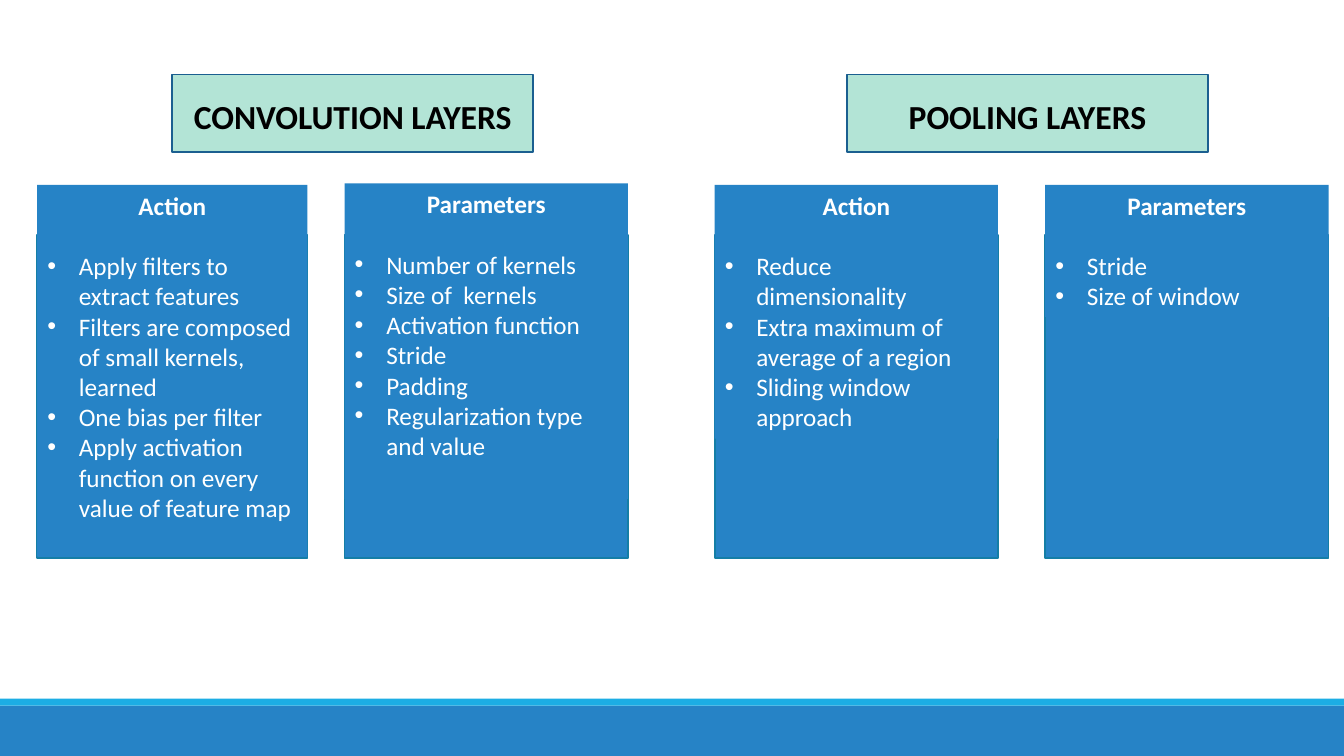
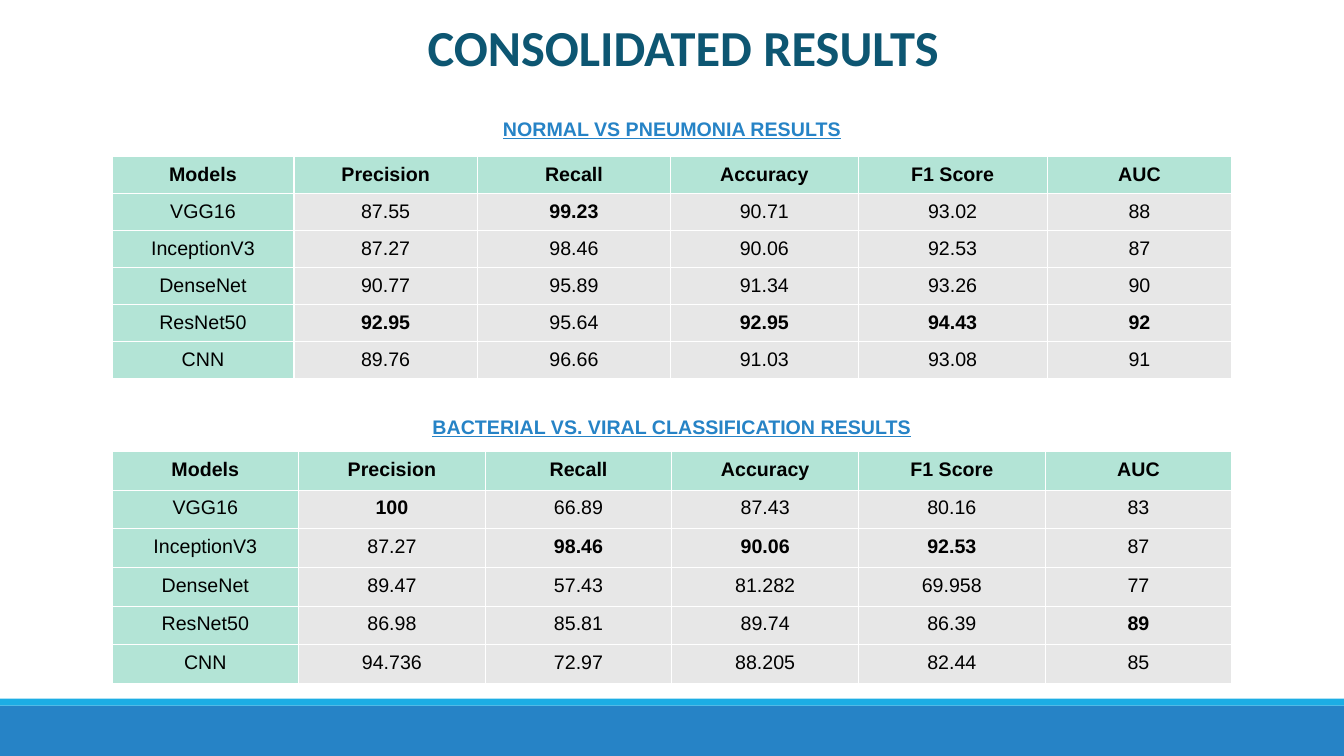
from lxml import etree
from pptx import Presentation
from pptx.dml.color import RGBColor
from pptx.enum import shapes, text
from pptx.oxml import ns
from pptx.util import Pt

WIDTH, HEIGHT = 960, 540
COMPARISON, TITLE_ONLY = 4, 5

BLUE, CYAN, MINT, GREY = "2683C6", "1CADE4", "B3E4D6", "E7E7E7"
PANEL_EDGE, HEADING_EDGE, TITLE_COLOR = "147EA6", "1B5F90", "0D5672"
WHITE, BLACK = "FFFFFF", "000000"
HEADING_FONT, TABLE_FONT = "Calibri", "Arial"

PANEL_TOP, PANEL_HEIGHT = 168, 230.4
TABLE_LEFT, TABLE_WIDTH = 80, 800

HEADINGS = [(123, "CONVOLUTION LAYERS"), (605, "POOLING LAYERS")]

# left, top, width, height, heading, bullets
CARDS = [
    (26.6, 132, 193, 265.7, "Action", [
        "Apply filters to extract features",
        "Filters are composed of small kernels, learned",
        "One bias per filter",
        "Apply activation function on every value of feature map"]),
    (246.2, 131, 202.4, 225.4, "Parameters", [
        "Number of kernels", "Size of  kernels", "Activation function",
        "Stride", "Padding", "Regularization type and value"]),
    (510.5, 132, 202.4, 181.4, "Action", [
        "Reduce dimensionality",
        "Extra maximum of average of a region",
        "Sliding window approach"]),
    (746.6, 132, 202.4, 94.3, "Parameters", ["Stride", "Size of window"]),
]

COLUMNS = ["Models", "Precision", "Recall", "Accuracy", "F1 Score", "AUC"]

PNEUMONIA = [
    ["VGG16", "87.55", "99.23", "90.71", "93.02", "88"],
    ["InceptionV3", "87.27", "98.46", "90.06", "92.53", "87"],
    ["DenseNet", "90.77", "95.89", "91.34", "93.26", "90"],
    ["ResNet50", "92.95", "95.64", "92.95", "94.43", "92"],
    ["CNN", "89.76", "96.66", "91.03", "93.08", "91"],
]

BACTERIAL_VIRAL = [
    ["VGG16", "100", "66.89", "87.43", "80.16", "83"],
    ["InceptionV3", "87.27", "98.46", "90.06", "92.53", "87"],
    ["DenseNet", "89.47", "57.43", "81.282", "69.958", "77"],
    ["ResNet50", "86.98", "85.81", "89.74", "86.39", "89"],
    ["CNN", "94.736", "72.97", "88.205", "82.44", "85"],
]


def color(hex_string):
    return RGBColor.from_string(hex_string)


def place(shape, left, top, width, height):
    shape.left, shape.top = Pt(left), Pt(top)
    shape.width, shape.height = Pt(width), Pt(height)


def fill(item, hex_string):
    item.fill.solid()
    item.fill.fore_color.rgb = color(hex_string)


def style(paragraph, size, font, hex_string, bold=False, underline=False,
          align=text.PP_ALIGN.CENTER):
    paragraph.alignment = align
    for run in paragraph.runs:
        run.font.size, run.font.name = Pt(size), font
        run.font.bold, run.font.underline = bold, underline
        run.font.color.rgb = color(hex_string)


def set_bullet(paragraph, indent=0, character=None):
    """Give the paragraph a hanging bullet, or none without a character."""
    properties = paragraph._p.get_or_add_pPr()
    properties.set("marL", str(Pt(indent)))
    properties.set("indent", str(-Pt(indent)))
    if character:
        etree.SubElement(properties, ns.qn("a:buFont"), typeface="Arial")
        etree.SubElement(properties, ns.qn("a:buChar"), char=character)
    else:
        etree.SubElement(properties, ns.qn("a:buNone"))


def set_borders(cell, hex_string, width):
    properties = cell._tc.get_or_add_tcPr()
    for side in ("a:lnL", "a:lnR", "a:lnT", "a:lnB"):
        line = etree.SubElement(properties, ns.qn(side), w=str(Pt(width)))
        solid = etree.SubElement(line, ns.qn("a:solidFill"))
        etree.SubElement(solid, ns.qn("a:srgbClr"), val=hex_string)


class Deck:
    """Holds the presentation, its shared style and the current slide."""

    def __init__(self):
        self.presentation = Presentation()
        self.presentation.slide_width = Pt(WIDTH)
        self.presentation.slide_height = Pt(HEIGHT)
        self.slide = None

    def new_slide(self, layout):
        first = self.slide is None
        self.slide = self.presentation.slides.add_slide(
            self.presentation.slide_layouts[layout])
        if first:
            self.master_bands()

    def master_bands(self):
        """Draw the bottom bands and move them to the master, behind its text."""
        tree = self.presentation.slide_master.shapes.element
        for number, (top, height, hex_string) in enumerate(
                [(504, 36, BLUE), (499, 5, CYAN)]):
            band = self.box(0, top, WIDTH, height, hex_string)
            band.element.nvSpPr.cNvPr.id = 100 + number
            tree.insert(2 + number, band.element)

    def box(self, left, top, width, height, hex_string, edge=None,
            kind=shapes.MSO_SHAPE.RECTANGLE):
        shape = self.slide.shapes.add_shape(
            kind, Pt(left), Pt(top), Pt(width), Pt(height))
        shape.shadow.inherit = False
        fill(shape, hex_string)
        if edge:
            shape.line.color.rgb = color(edge)
            shape.line.width = Pt(1.25)
        else:
            shape.line.fill.background()
        return shape

    def heading(self, left, words):
        shape = self.box(left, 53.3, 258, 55.4, MINT, HEADING_EDGE,
                         shapes.MSO_SHAPE.FLOWCHART_PROCESS)
        frame = shape.text_frame
        frame.text = words
        frame.margin_top, frame.margin_bottom = Pt(8), Pt(4)
        frame.vertical_anchor = text.MSO_ANCHOR.MIDDLE
        style(frame.paragraphs[0], 24, HEADING_FONT, BLACK, bold=True)

    def card(self, placeholder, left, top, width, height, heading, bullets):
        """Fill a body placeholder and set an outlined panel behind it."""
        panel = self.box(left, PANEL_TOP, width, PANEL_HEIGHT, BLUE, PANEL_EDGE)
        placeholder.element.addprevious(panel.element)
        place(placeholder, left, top, width, height)
        fill(placeholder, BLUE)
        frame = placeholder.text_frame
        frame.text = "\n".join([heading] + bullets)
        frame.auto_size = text.MSO_AUTO_SIZE.NONE
        frame.vertical_anchor = text.MSO_ANCHOR.TOP
        for paragraph in frame.paragraphs:
            paragraph.line_spacing = 1.0
            paragraph.space_before = paragraph.space_after = Pt(0)
        title, *items = frame.paragraphs
        title.space_after = Pt(21.6)
        style(title, 18, HEADING_FONT, WHITE, bold=True)
        set_bullet(title)
        for item in items:
            style(item, 18, HEADING_FONT, WHITE, align=text.PP_ALIGN.LEFT)
            set_bullet(item, 22.5, "•")

    def title(self, words):
        shape = self.slide.shapes.title
        place(shape, 278.6, 19.4, 419, 39)
        frame = shape.text_frame
        frame.text = words
        frame.auto_size = text.MSO_AUTO_SIZE.NONE
        frame.vertical_anchor = text.MSO_ANCHOR.BOTTOM
        frame.paragraphs[0].line_spacing = 0.85
        style(frame.paragraphs[0], 36, HEADING_FONT, TITLE_COLOR, bold=True)

    def caption(self, top, words):
        shape = self.slide.shapes.add_textbox(
            Pt(TABLE_LEFT), Pt(top), Pt(TABLE_WIDTH), Pt(24.5))
        frame = shape.text_frame
        frame.word_wrap = True
        frame.text = words
        style(frame.paragraphs[0], 14, TABLE_FONT, BLUE, bold=True, underline=True)

    def results_table(self, top, row_height, widths, results):
        """Draw a results table with the best value of each column in bold."""
        rows = [COLUMNS] + results
        table = self.slide.shapes.add_table(
            len(rows), len(COLUMNS), Pt(TABLE_LEFT), Pt(top),
            Pt(TABLE_WIDTH), Pt(row_height * len(rows))).table
        for column, width in zip(table.columns, widths):
            column.width = Pt(width)
        best = [max(map(float, values)) for values in list(zip(*results))[1:]]
        for row_index, values in enumerate(rows):
            table.rows[row_index].height = Pt(row_height)
            for column_index, value in enumerate(values):
                is_header, is_model = row_index == 0, column_index == 0
                bold = is_header or (
                    not is_model and float(value) == best[column_index - 1])
                self.cell(table.cell(row_index, column_index), value,
                          MINT if is_header or is_model else GREY, bold)

    def cell(self, cell, value, hex_string, bold):
        cell.text_frame.text = value
        cell.margin_left = cell.margin_right = Pt(4.8)
        cell.margin_top = cell.margin_bottom = Pt(4.8)
        style(cell.text_frame.paragraphs[0], 14, TABLE_FONT, BLACK, bold)
        set_borders(cell, WHITE, 1)
        fill(cell, hex_string)


def layers_slide(deck):
    deck.new_slide(COMPARISON)
    title, *bodies = list(deck.slide.placeholders)
    title.element.getparent().remove(title.element)
    for body, card in zip(bodies, CARDS):
        deck.card(body, *card)
    for left, words in HEADINGS:
        deck.heading(left, words)


def results_slide(deck):
    deck.new_slide(TITLE_ONLY)
    deck.title("CONSOLIDATED RESULTS")
    deck.caption(80, "NORMAL VS PNEUMONIA RESULTS")
    deck.results_table(112, 25.7, [130, 131, 138, 134, 135, 132], PNEUMONIA)
    deck.caption(293, "BACTERIAL VS. VIRAL CLASSIFICATION RESULTS")
    equal_widths = [TABLE_WIDTH / len(COLUMNS)] * len(COLUMNS)
    deck.results_table(322.6, 27.6, equal_widths, BACTERIAL_VIRAL)


def main():
    deck = Deck()
    layers_slide(deck)
    results_slide(deck)
    deck.presentation.save("out.pptx")


if __name__ == "__main__":
    main()
